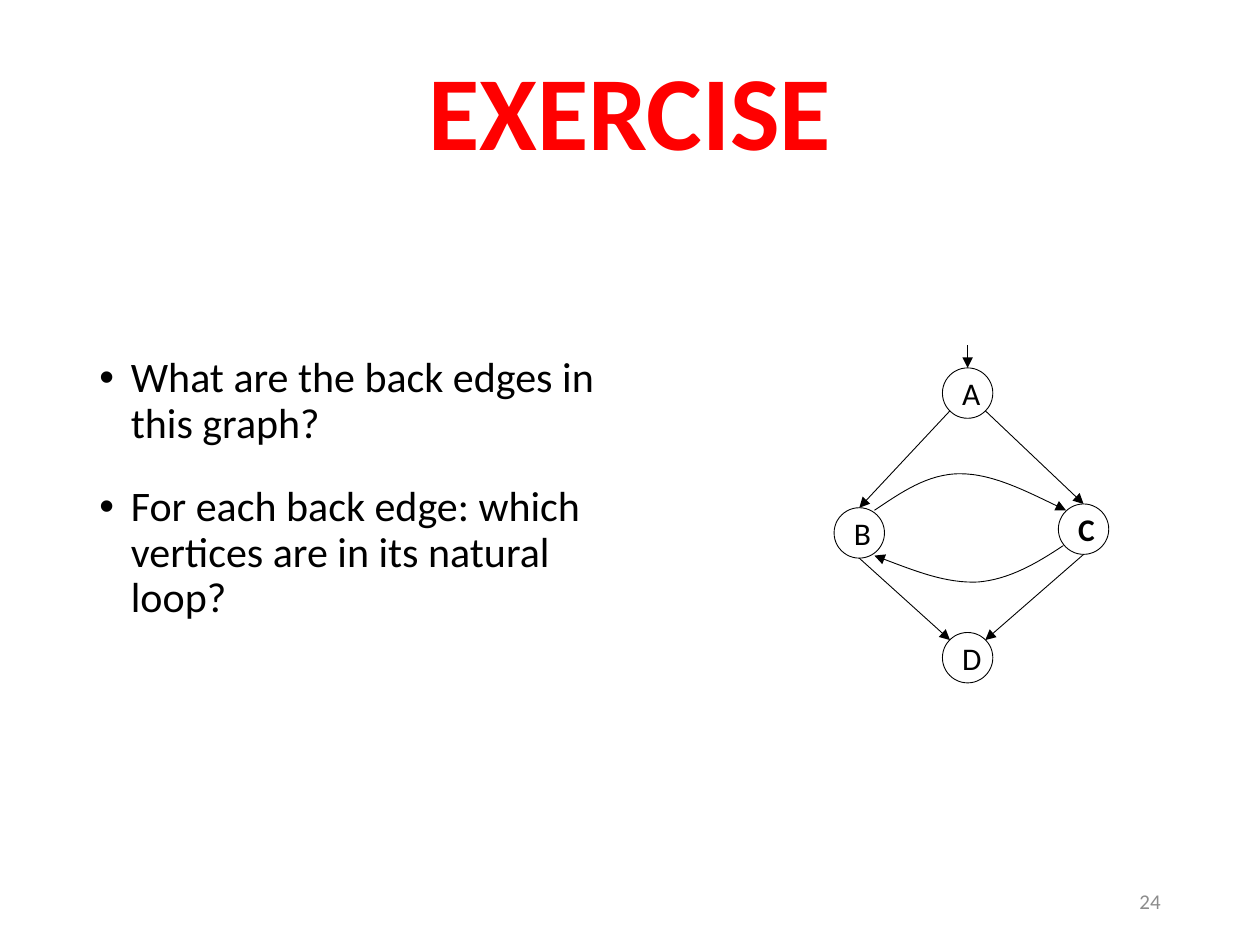
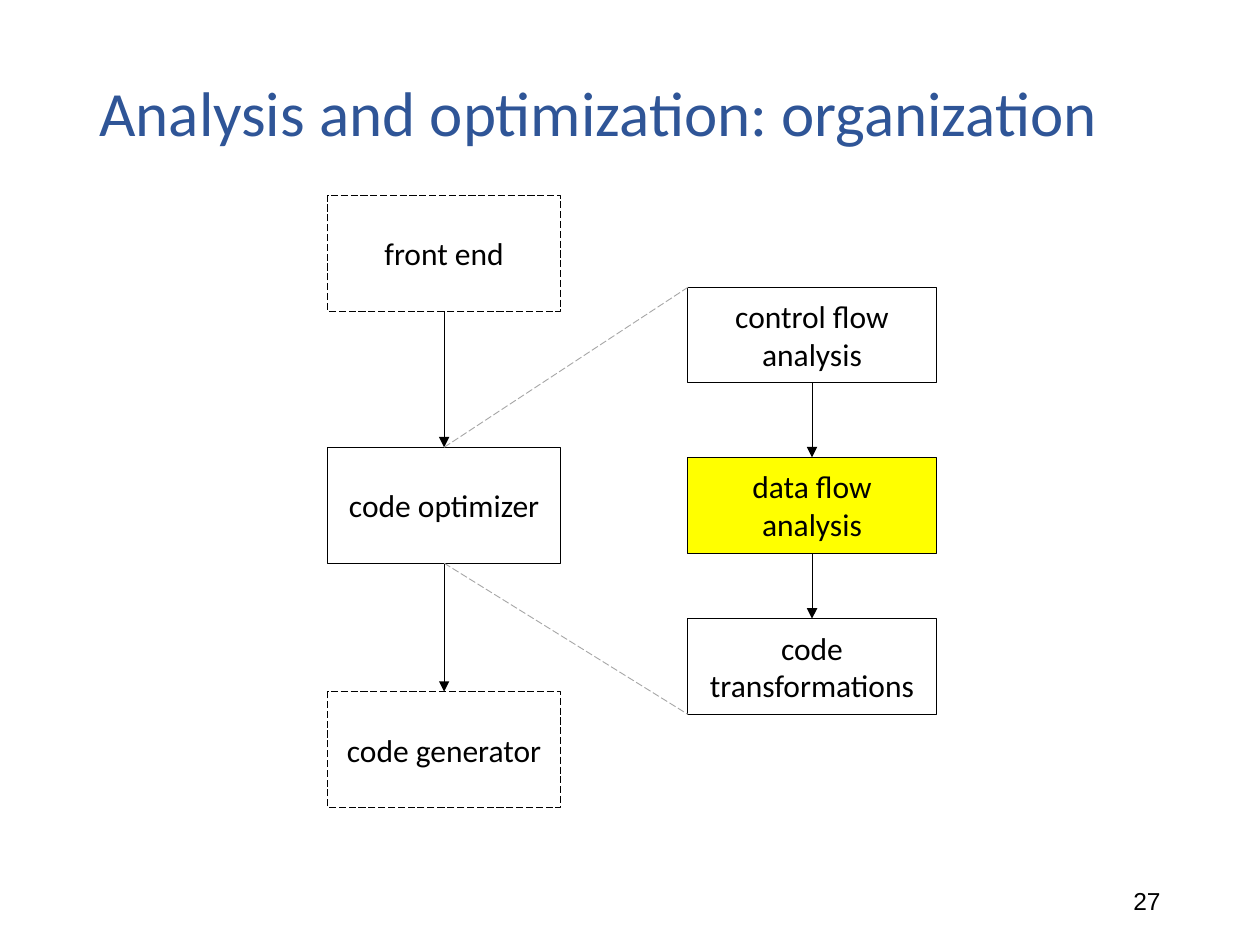
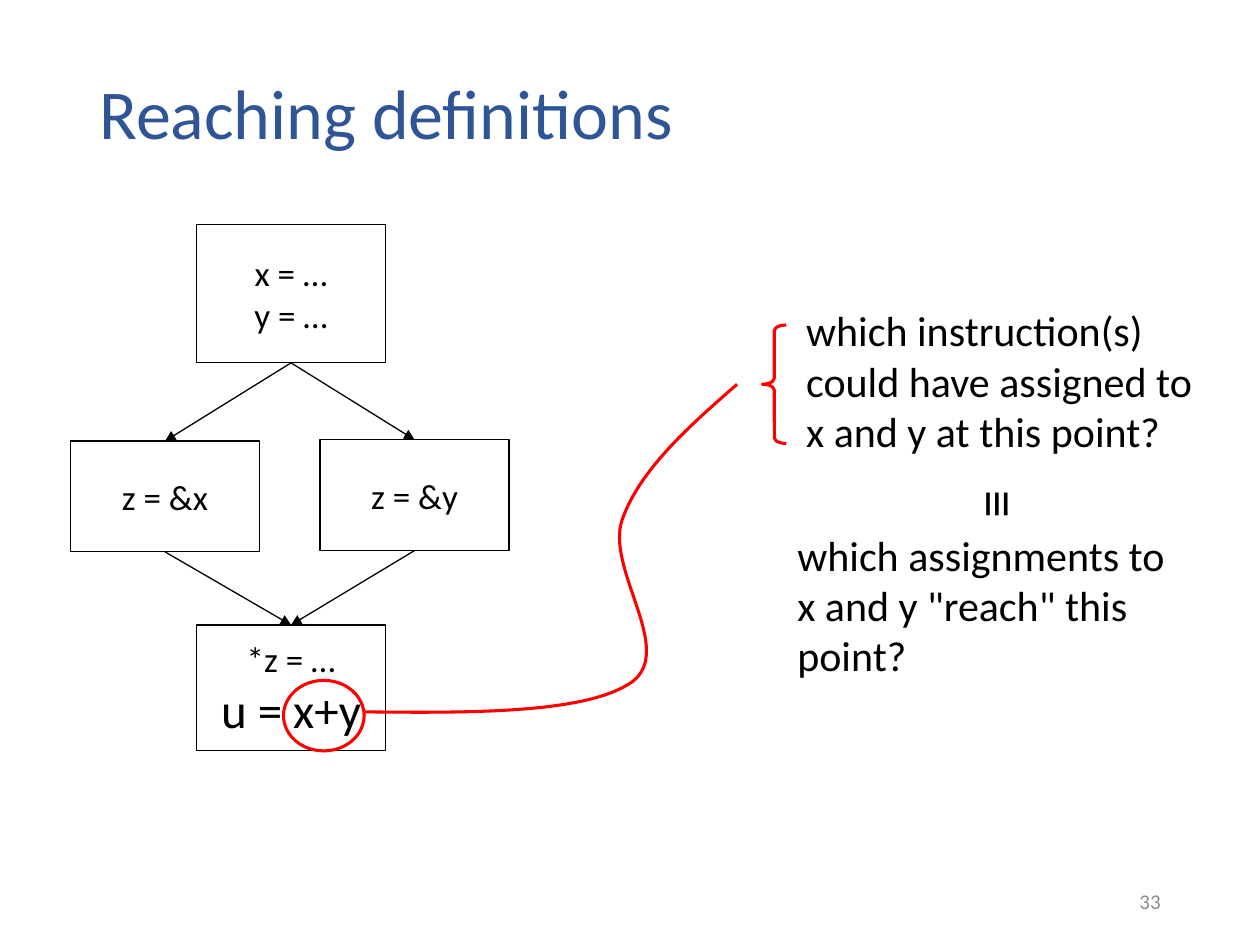
from lxml import etree
from pptx import Presentation
from pptx.dml.color import RGBColor
from pptx.enum.dml import MSO_LINE
from pptx.enum.shapes import MSO_CONNECTOR, MSO_SHAPE
from pptx.enum.text import MSO_ANCHOR, PP_ALIGN
from pptx.oxml.ns import qn
from pptx.util import Inches, Pt

LEFT, CENTER, RIGHT = PP_ALIGN.LEFT, PP_ALIGN.CENTER, PP_ALIGN.RIGHT
TOP, MIDDLE = MSO_ANCHOR.TOP, MSO_ANCHOR.MIDDLE
OVAL, RECT, BRACE = MSO_SHAPE.OVAL, MSO_SHAPE.RECTANGLE, MSO_SHAPE.LEFT_BRACE
STRAIGHT = MSO_CONNECTOR.STRAIGHT
DASH = MSO_LINE.LONG_DASH

FONT = "Calibri"
COLORS = {"black": "000000", "red": "FF0000", "blue": "2F5597",
          "gray": "A6A6A6", "number": "8C8C8C", "yellow": "FFFF00"}

# The slide is a grid of 100 columns by 75 rows of square cells.
COLS, ROWS = 100, 75
CELL = Inches(0.1)
MARGIN = 6.9

# Places on an outline, as shares of its width and height
N, S, W = (0.5, 0), (0.5, 1), (0, 0.5)
E, NW, SW = (1, 0.5), (0, 0), (0, 1)
ARC = 0.15
OVAL_NW, OVAL_NE = (ARC, ARC), (1 - ARC, ARC)
OVAL_SW, OVAL_SE = (ARC, 1 - ARC), (1 - ARC, 1 - ARC)


def cells(*values):
    return [round(v * CELL) for v in values]


def rgb(name):
    return RGBColor.from_string(COLORS[name])


def add_run(p, text, size, color="black", bold=False, font=FONT):
    r = p.add_run()
    r.text = text
    r.font.name, r.font.size, r.font.bold = font, Pt(size), bold
    r.font.color.rgb = rgb(color)


def add_text(s, box, text, size, align=LEFT, anchor=TOP, spacing=None, **style):
    tb = s.shapes.add_textbox(*cells(*box))
    tf = tb.text_frame
    tf.word_wrap, tf.vertical_anchor = True, anchor
    p = tf.paragraphs[0]
    p.alignment, p.line_spacing = align, spacing
    add_run(p, text, size, **style)
    return tb


def add_title(s, text, size, **style):
    add_text(s, (MARGIN, 4, COLS - 2 * MARGIN, 10.5), text, size,
             anchor=MIDDLE, spacing=0.9, **style)


def add_number(s, number, size=12, color="number", font=FONT):
    add_text(s, (COLS - MARGIN - 22.5, ROWS - 5.5, 22.5, 4), number, size,
             align=RIGHT, anchor=MIDDLE, color=color, font=font)


def add_bullets(s, box, items, size):
    tb = s.shapes.add_textbox(*cells(*box))
    tf = tb.text_frame
    tf.word_wrap = True
    for i, item in enumerate(items):
        p = tf.add_paragraph() if i else tf.paragraphs[0]
        p.line_spacing, p.space_before, p.space_after = 0.9, Pt(10), Pt(12)
        pPr = p._p.get_or_add_pPr()
        pPr.set("marL", str(Inches(0.25)))
        pPr.set("indent", str(-Inches(0.25)))
        etree.SubElement(pPr, qn("a:buFont")).set("typeface", "Arial")
        etree.SubElement(pPr, qn("a:buChar")).set("char", "•")
        add_run(p, item, size)


def style_line(shape, width, color="black", dash=None, arrow=False):
    shape.line.color.rgb = rgb(color)
    shape.line.width = Pt(width)
    if dash:
        shape.line.dash_style = dash
    if arrow:
        ln = shape.element.spPr.find(qn("a:ln"))
        etree.SubElement(ln, qn("a:tailEnd")).set("type", "triangle")


def add_outline(s, kind, box, width, lines=(), fill=None, color="black",
                dash=None):
    """Draw a shape; lines holds (text, size, bold) for each paragraph."""
    sp = s.shapes.add_shape(kind, *cells(*box))
    sp.shadow.inherit = False
    if fill:
        sp.fill.solid()
        sp.fill.fore_color.rgb = rgb(fill)
    else:
        sp.fill.background()
    style_line(sp, width, color, dash)
    tf = sp.text_frame
    tf.word_wrap, tf.vertical_anchor = True, MIDDLE
    for i, (text, size, bold) in enumerate(lines):
        p = tf.add_paragraph() if i else tf.paragraphs[0]
        p.alignment = CENTER
        add_run(p, text, size, bold=bold)
    return sp


def port(box, place):
    x, y, w, h = box
    return x + w * place[0], y + h * place[1]


def add_line(s, start, end, width, arrow=True, **style):
    c = s.shapes.add_connector(STRAIGHT, *cells(*start, *end))
    style_line(c, width, arrow=arrow, **style)
    etree.SubElement(c.element.spPr, qn("a:effectLst"))


def add_curve(s, points, width, **style):
    """Draw Bezier arcs: a start, then two controls and an end for each arc."""
    start, *rest = [cells(*pt) for pt in points]
    builder = s.shapes.build_freeform(*start)
    builder.add_line_segments(rest, close=False)
    sp = builder.convert_to_shape()
    steps = list(sp.element.iter(qn("a:lnTo")))
    for i in range(0, len(steps), 3):
        arc = etree.Element(qn("a:cubicBezTo"))
        steps[i].addprevious(arc)
        for step in steps[i:i + 3]:
            arc.append(step[0])
            step.getparent().remove(step)
    sp.shadow.inherit = False
    sp.fill.background()
    style_line(sp, width, **style)


def exercise_slide(s):
    add_title(s, "EXERCISE", 60, align=CENTER, color="red", bold=True)
    add_bullets(s, (MARGIN, 27.8, 44.9, 39.8),
                ["What are the back edges in this graph?",
                 "For each back edge: which vertices are in its natural loop?"],
                24)
    corners = {"A": (74.8, 29.2), "B": (66.2, 40.3),
               "C": (84, 40), "D": (74.8, 50.2)}
    nodes = {name: (*corner, 4, 4) for name, corner in corners.items()}
    for name, box in nodes.items():
        add_outline(s, OVAL, box, 0.5, [(name, 18, name == "C")])
    x, y = port(nodes["A"], N)
    add_line(s, (x, y - 1.8), (x, y), 0.5)
    for a, start, b, end in [("A", OVAL_SW, "B", N), ("A", OVAL_SE, "C", N),
                             ("B", S, "D", OVAL_NW), ("C", S, "D", OVAL_NE)]:
        add_line(s, port(nodes[a], start), port(nodes[b], end), 0.5)
    for points in [
        [(69.4, 40.5), (71.5, 39.1), (73.6, 37.6), (76.2, 37.6),
         (78.7, 37.6), (81.7, 39.1), (84.6, 40.5)],
        [(84.4, 43.3), (82.3, 44.7), (80.1, 46), (77.6, 46.2),
         (75.1, 46.3), (72.3, 45.2), (69.4, 44.1)],
    ]:
        add_curve(s, points, 0.5, arrow=True)
    add_number(s, "24")


def organization_slide(s):
    add_title(s, "Analysis and optimization: organization", 36, color="blue")
    stages = [("front end", 15.5, DASH), ("code optimizer", 35.5, None),
              ("code generator", 54.9, DASH)]
    passes = [("control flow analysis", 22.8, None),
              ("data flow analysis", 36.3, "yellow"),
              ("code transformations", 49.1, None)]
    stage_boxes = [(26, y, 18.5, 9.2) for _, y, _ in stages]
    pass_boxes = [(54.6, y, 19.7, 7.6) for _, y, _ in passes]
    for (text, _, dash), box in zip(stages, stage_boxes):
        add_outline(s, RECT, box, 0.5, [(text, 18, False)], dash=dash)
    for (text, _, fill), box in zip(passes, pass_boxes):
        add_outline(s, RECT, box, 0.5, [(text, 18, False)], fill=fill)
    for boxes in (stage_boxes, pass_boxes):
        for upper, lower in zip(boxes, boxes[1:]):
            add_line(s, port(upper, S), port(lower, N), 0.5)
    optimizer = stage_boxes[1]
    for start, box, corner in [(N, pass_boxes[0], NW), (S, pass_boxes[-1], SW)]:
        add_line(s, port(optimizer, start), port(box, corner), 0.5,
                 arrow=False, color="gray", dash=DASH)
    add_number(s, "27", 14, "black", "Arial")


def reaching_slide(s):
    add_title(s, "Reaching definitions", 40, color="blue")
    entry, exit_ = (15.6, 17.8, 15, 11), (15.6, 49.6, 15, 10)
    left, right = (5.6, 35, 15, 8.8), (25.4, 34.9, 15, 8.8)
    blocks = [(entry, [("x = …", 20), ("y = …", 20)]),
              (left, [("z = &x", 20)]), (right, [("z = &y", 20)]),
              (exit_, [("*z = …", 20), ("u = x+y", 28)])]
    for box, lines in blocks:
        add_outline(s, RECT, box, 0.75, [(t, size, False) for t, size in lines])
    for branch in (left, right):
        add_line(s, port(entry, S), port(branch, N), 0.75)
        add_line(s, port(branch, S), port(exit_, N), 0.75)

    use = (22.5, 54, 6.4, 5.6)
    add_outline(s, OVAL, use, 1.75, color="red")
    add_curve(s, [(28.9, 56.5), (37.8, 56.6), (46.7, 56.6), (50.2, 54.1),
                  (53.6, 51.5), (48, 45.1), (49.4, 41.2),
                  (50.8, 37.3), (54.6, 33.9), (58.5, 30.5)],
              1.75, color="red")
    brace = add_outline(s, BRACE, (60.5, 25.8, 1.9, 9.4), 1.75, color="red")
    brace.adjustments[0], brace.adjustments[1] = 0.24, 0.5

    add_text(s, (63, 23.7, 33, 13.1), "which instruction(s) could have "
             "assigned to x and y at this point?", 24)
    add_text(s, (62.3, 41.5, 33, 13.1),
             'which assignments to x and y "reach" this point?', 24)
    sign = add_text(s, (77.2, 37, 4.5, 6.4), "≡", 32)
    sign.text_frame.word_wrap = False
    sign.rotation = 90
    add_number(s, "33")


def main():
    prs = Presentation()
    prs.slide_width, prs.slide_height = cells(COLS, ROWS)
    blank = prs.slide_layouts[6]
    for build in (exercise_slide, organization_slide, reaching_slide):
        build(prs.slides.add_slide(blank))
    prs.save("out.pptx")


if __name__ == "__main__":
    main()
